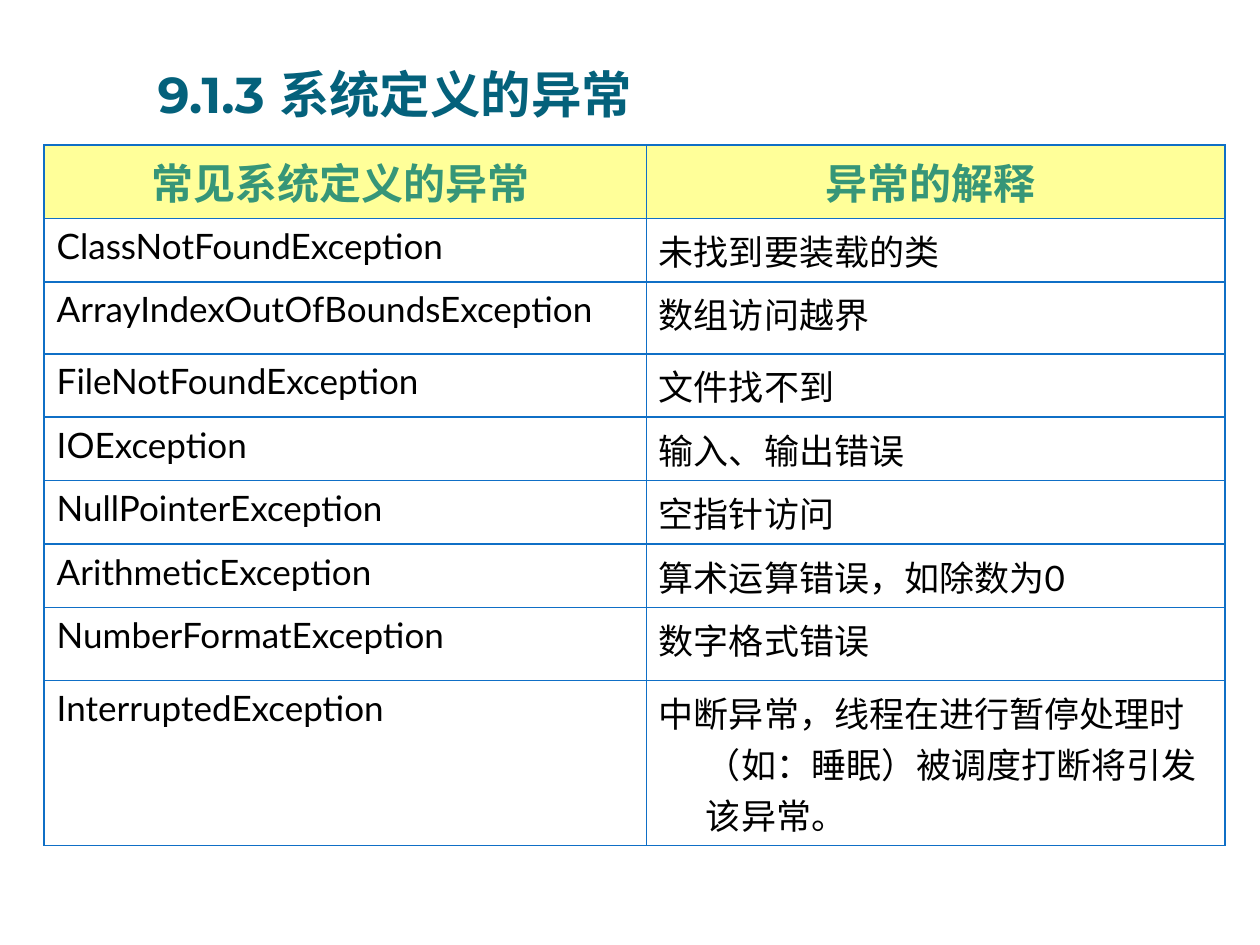
from lxml.etree import SubElement
from pptx import Presentation
from pptx.dml.color import RGBColor as Color
from pptx.enum.text import MSO_ANCHOR as Anchor, MSO_AUTO_SIZE as AutoSize, PP_ALIGN as Align
from pptx.oxml.ns import qn
from pptx.util import Cm, Pt

TITLE_COLOR = Color(0x04, 0x61, 0x7B)
HEADER_COLOR = Color(0x36, 0x96, 0x78)
HEADER_FILL = Color(0xFF, 0xFF, 0x99)
BODY_COLOR = Color(0x00, 0x00, 0x00)
BORDER_COLOR = Color(0x0F, 0x6F, 0xC6)

TITLE_BOX = (Cm(3.18), Cm(1.19), Cm(18.19), Cm(1.3))
TABLE_BOX = (Cm(0.89), Cm(2.92), Cm(23.8), Cm(13.8))
LEFT_COLUMN_SHARE = 0.51
ROW_HEIGHT = Cm(1.27)
TALL_ROWS = {2: Cm(1.45), 7: Cm(1.47), 8: Cm(3.28)}
HANGING_INDENT = Cm(0.95)

EXCEPTIONS = [
    ("常见系统定义的异常 ", "异常的解释 "),
    ("ClassNotFoundException", "未找到要装载的类"),
    ("ArrayIndexOutOfBoundsException", "数组访问越界"),
    ("FileNotFoundException", "文件找不到"),
    ("IOException", "输入、输出错误"),
    ("NullPointerException", "空指针访问"),
    ("ArithmeticException", "算术运算错误，如除数为0"),
    ("NumberFormatException", "数字格式错误"),
    ("InterruptedException", "中断异常，线程在进行暂停处理时（如：睡眠）被调度打断将引发该异常。"),
]


def format_text(para, name, size, color, bold):
    """Apply one font to every run of a paragraph."""
    for span in para.runs:
        font = span.font
        font.name, font.size, font.bold = name, Pt(size), bold
        font.color.rgb = color


def add_title(page, box, text):
    """Move the title placeholder into the box and fill it."""
    title = page.shapes.title
    title.left, title.top, title.width, title.height = box
    frame = title.text_frame
    frame.text = text
    frame.word_wrap = True
    frame.auto_size = AutoSize.NONE
    frame.vertical_anchor = Anchor.BOTTOM
    frame.margin_left = frame.margin_right = frame.margin_bottom = 0
    frame.margin_top = Cm(0.13)
    para = frame.paragraphs[0]
    para.alignment = Align.LEFT
    format_text(para, "Montserrat", 28.8, TITLE_COLOR, True)


def add_borders(cell):
    """Draw a thin line on all four sides of a cell."""
    properties = cell._tc.get_or_add_tcPr()
    for side in ("a:lnL", "a:lnR", "a:lnT", "a:lnB"):
        line = SubElement(properties, qn(side), w=str(Pt(1)))
        fill = SubElement(line, qn("a:solidFill"))
        SubElement(fill, qn("a:srgbClr"), val=str(BORDER_COLOR))


def fill_cell(cell, text, is_header):
    """Write and format one cell of the table."""
    add_borders(cell)
    cell.text = text
    para = cell.text_frame.paragraphs[0]
    indent = para._p.get_or_add_pPr()
    indent.set("marL", str(HANGING_INDENT))
    indent.set("indent", str(-HANGING_INDENT))
    if is_header:
        cell.fill.solid()
        cell.fill.fore_color.rgb = HEADER_FILL
        para.alignment = Align.CENTER
        format_text(para, "Lato", 24, HEADER_COLOR, True)
    else:
        cell.fill.background()
        para.alignment = Align.LEFT
        format_text(para, "Lato", 20, BODY_COLOR, False)


def add_exception_table(page, box, entries):
    """Place the table of exceptions and explanations in the box."""
    width = box[2]
    table = page.shapes.add_table(len(entries), 2, *box).table
    table.first_row = table.horz_banding = False
    table.columns[0].width = int(width * LEFT_COLUMN_SHARE)
    table.columns[1].width = width - table.columns[0].width
    for row, entry in enumerate(entries):
        table.rows[row].height = TALL_ROWS.get(row, ROW_HEIGHT)
        for column, text in enumerate(entry):
            fill_cell(table.cell(row, column), text, row == 0)


def main():
    """Build the deck and save it."""
    deck = Presentation()
    deck.slide_width, deck.slide_height = Cm(25.4), Cm(19.05)
    page = deck.slides.add_slide(deck.slide_layouts[5])
    add_title(page, TITLE_BOX, "9.1.3 系统定义的异常")
    add_exception_table(page, TABLE_BOX, EXCEPTIONS)
    deck.save("out.pptx")


if __name__ == "__main__":
    main()
